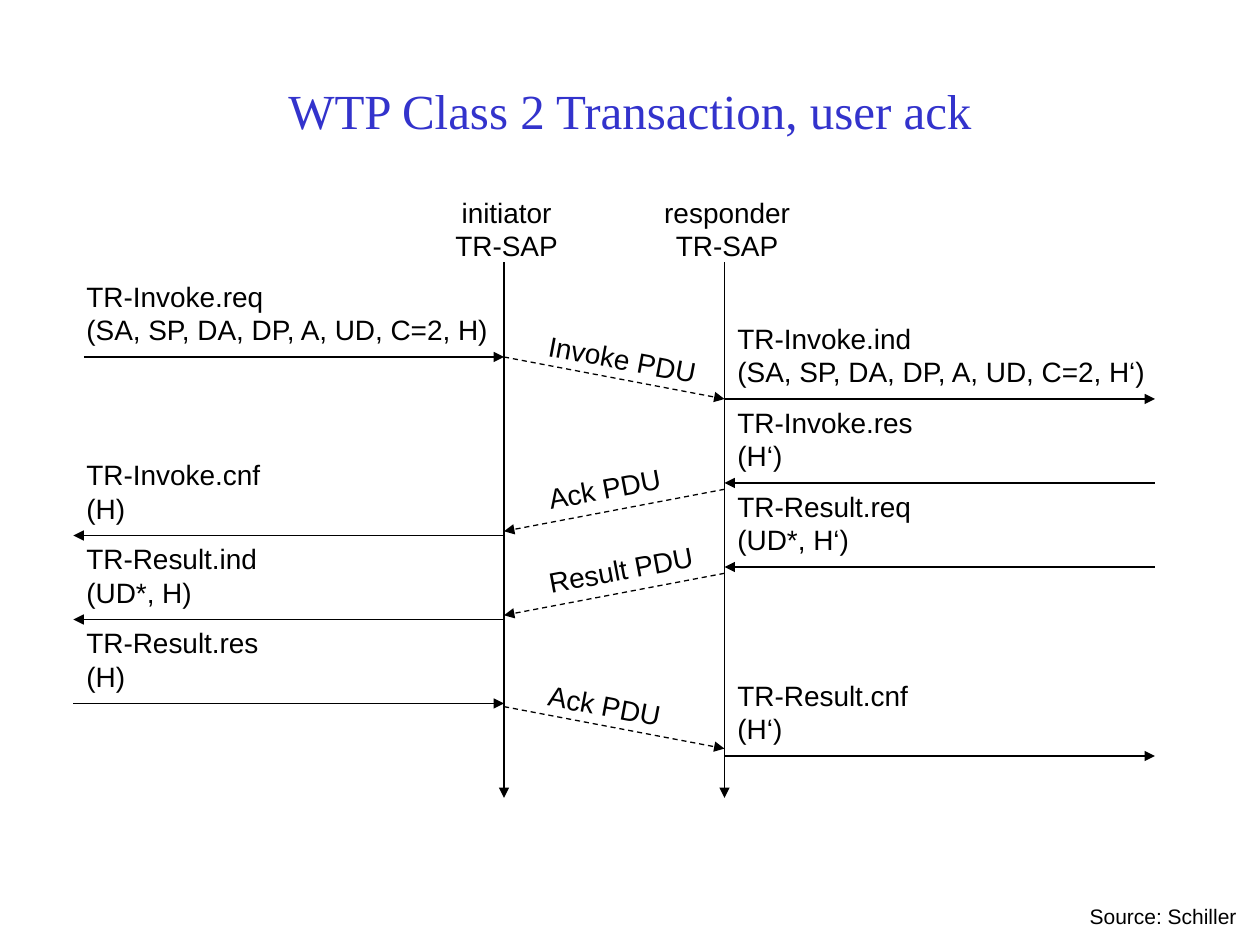
from pptx import Presentation
from pptx.dml.color import RGBColor
from pptx.enum.dml import MSO_LINE
from pptx.enum.shapes import MSO_CONNECTOR
from pptx.enum.text import MSO_ANCHOR, MSO_AUTO_SIZE, PP_ALIGN
from pptx.oxml.ns import qn
from pptx.util import Inches, Pt
from lxml import etree

BLACK = RGBColor(0x00, 0x00, 0x00)
BLUE = RGBColor(0x33, 0x33, 0xCC)
LEFT, CENTER = PP_ALIGN.LEFT, PP_ALIGN.CENTER
MIDDLE, FIT = MSO_ANCHOR.MIDDLE, MSO_AUTO_SIZE.SHAPE_TO_FIT_TEXT
STRAIGHT, DASH = MSO_CONNECTOR.STRAIGHT, MSO_LINE.DASH

prs = Presentation()
prs.slide_width, prs.slide_height = Inches(10), Inches(7.5)
s = prs.slides.add_slide(prs.slide_layouts[5])

# Grid of 120 columns by 90 rows
U = prs.slide_width / 120
INITIATOR, RESPONDER = 48, 69
LEFT_END, RIGHT_END = 7, 110


def add_arrow(x1, y1, x2, y2, dashed=False):
    line = s.shapes.add_connector(STRAIGHT, *(int(v * U) for v in (x1, y1, x2, y2)))
    line.line.color.rgb = BLACK
    line.line.width = Pt(0.75)
    if dashed:
        line.line.dash_style = DASH
    sp_pr = line._element.spPr
    etree.SubElement(sp_pr.find(qn("a:ln")), qn("a:tailEnd"), type="triangle")
    etree.SubElement(sp_pr, qn("a:effectLst"))


def add_label(x, y, w, h, lines, size=16, align=LEFT, rotation=0):
    box = s.shapes.add_textbox(*(int(v * U) for v in (x, y, w, h)))
    box.rotation = rotation
    tf = box.text_frame
    tf.word_wrap = False
    tf.auto_size = FIT
    tf.text = "\n".join(lines)
    for p in tf.paragraphs:
        p.alignment = align
        p.font.size = Pt(size)
        p.font.name = "Arial"
        p.font.color.rgb = BLACK


# Title
title = s.shapes.title
title.left, title.top, title.width, title.height = (int(v * U) for v in (9, 3, 102, 15))
title.text_frame.text = "WTP Class 2 Transaction, user ack"
title.text_frame.vertical_anchor = MIDDLE
p = title.text_frame.paragraphs[0]
p.alignment = CENTER
p.font.size = Pt(28)
p.font.name = "Times New Roman"
p.font.color.rgb = BLUE

# Lifelines with their headings
for name, x, w in (("initiator", INITIATOR, 13), ("responder", RESPONDER, 15)):
    add_label(x + 0.25 - w / 2, 18, w, 7.7, (name, "TR-SAP"), align=CENTER)
    add_arrow(x, 25, x, 76)

# Initiator primitives: row, start, end, label width, text
for y, start, end, w, lines in (
    (34, LEFT_END + 1, INITIATOR, 42, ("TR-Invoke.req", "(SA, SP, DA, DP, A, UD, C=2, H)")),
    (51, INITIATOR, LEFT_END, 19.5, ("TR-Invoke.cnf", "(H)")),
    (59, INITIATOR, LEFT_END, 19.5, ("TR-Result.ind", "(UD*, H)")),
    (67, LEFT_END, INITIATOR, 19.5, ("TR-Result.res", "(H)")),
):
    add_label(LEFT_END + 0.05, y - 8, w, 7.7, lines)
    add_arrow(start, y, end, y)

# Responder primitives
for y, start, end, w, lines in (
    (38, RESPONDER, RIGHT_END, 42.5, ("TR-Invoke.ind", "(SA, SP, DA, DP, A, UD, C=2, H‘)")),
    (46, RIGHT_END, RESPONDER, 19.5, ("TR-Invoke.res", "(H‘)")),
    (54, RIGHT_END, RESPONDER, 19.5, ("TR-Result.req", "(UD*, H‘)")),
    (72, RESPONDER, RIGHT_END, 19.5, ("TR-Result.cnf", "(H‘)")),
):
    add_label(RESPONDER + 0.05, y - 8, w, 7.7, lines)
    add_arrow(start, y, end, y)

# PDUs between the lifelines: start row, label row, label width, direction
for y, label_y, w, text, to_responder in (
    (34, 32, 16.8, "Invoke PDU", True),
    (46.6, 44.3, 13.4, "Ack PDU", False),
    (54.6, 52, 16.5, "Result PDU", False),
    (67.3, 65, 13.4, "Ack PDU", True),
):
    start, end = (INITIATOR, RESPONDER) if to_responder else (RESPONDER, INITIATOR)
    add_arrow(start, y, end, y + 4, dashed=True)
    add_label(INITIATOR + 3, label_y, w, 4.4, (text,), rotation=10.6 if to_responder else -10.6)

# Source note
add_label(102.6, 85.5, 17, 3.6, ("Source: Schiller",), size=12)

prs.save("out.pptx")
